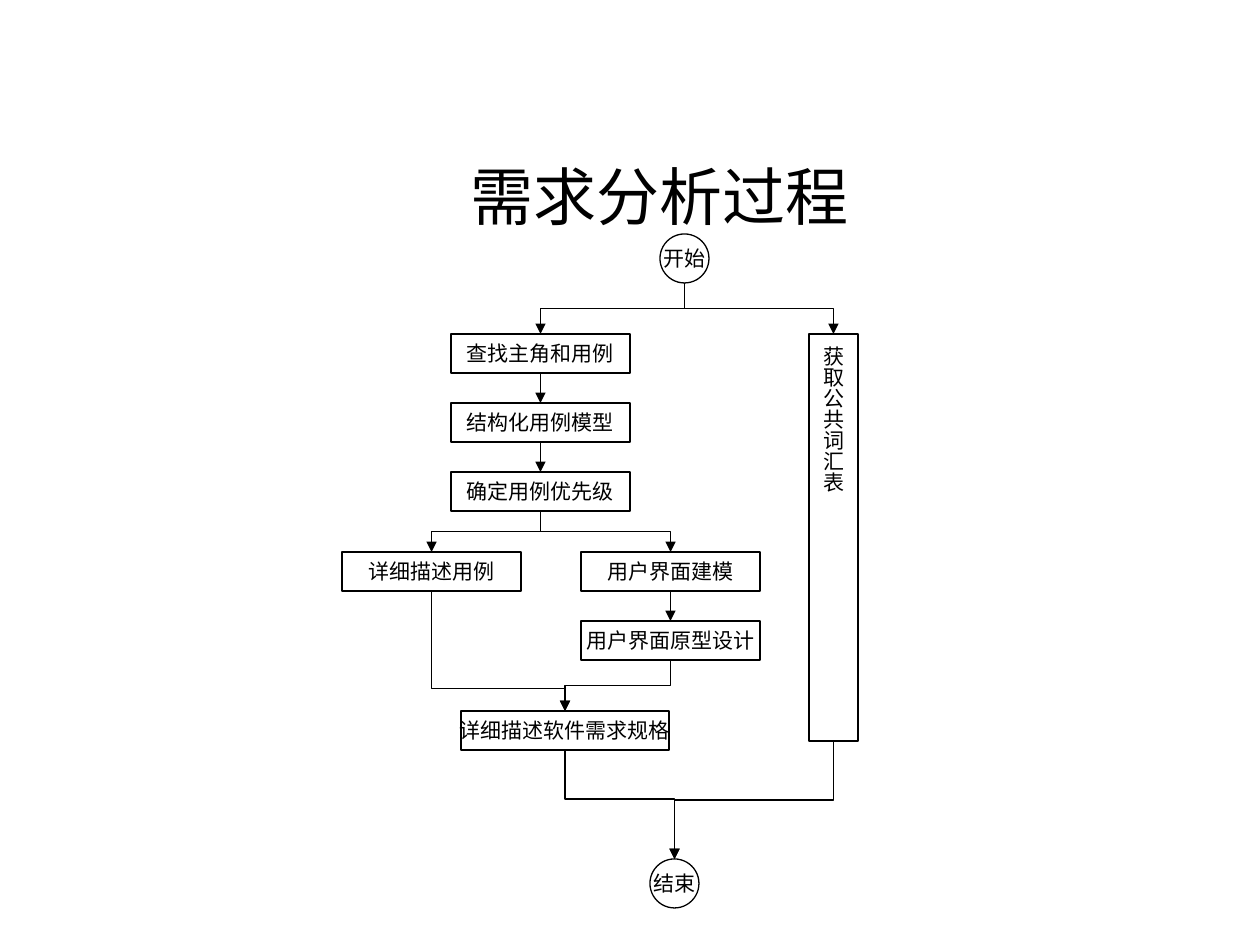
from lxml import etree
from pptx import Presentation
from pptx import util as u
from pptx.dml.color import RGBColor
from pptx.enum import shapes, text
from pptx.oxml import ns

COLORS = {"ink": "000000"}
SCALE = u.Inches(1) / 126
ROW_PITCH = 69
BOTTOM, TOP = 2, 0


def px(length):
    return u.Emu(round(length * SCALE))


class FlowSlide:
    font = "Arial"
    ink = RGBColor.from_string(COLORS["ink"])
    line_width = u.Pt(0.75)

    def __init__(self, slide):
        self.slide = slide

    def label(self, frame, words, size):
        frame.text = words
        frame.vertical_anchor = text.MSO_ANCHOR.MIDDLE
        paragraph = frame.paragraphs[0]
        paragraph.alignment = text.PP_ALIGN.CENTER
        for run in paragraph.runs:
            run.font.name = self.font
            run.font.size = u.Pt(size)
            run.font.color.rgb = self.ink

    def title(self, words, left, top, width, height):
        heading = self.slide.shapes.title
        heading.left, heading.top = px(left), px(top)
        heading.width, heading.height = px(width), px(height)
        self.label(heading.text_frame, words, 36)

    def node(self, kind, words, left, top, width, height, vertical=False):
        node = self.slide.shapes.add_shape(kind, px(left), px(top), px(width), px(height))
        node.shadow.inherit = False
        node.fill.background()
        node.line.color.rgb = self.ink
        node.line.width = self.line_width
        self.label(node.text_frame, words, 12)
        node.text_frame.word_wrap = False
        if vertical:
            node.text_frame._txBody.bodyPr.set("vert", "eaVert")
        return node

    def step(self, words, left, top, width=179):
        return self.node(shapes.MSO_SHAPE.RECTANGLE, words, left, top, width, 39)

    def terminal(self, words, left, top):
        return self.node(shapes.MSO_SHAPE.OVAL, words, left, top, 49, 49)

    def style_arrow(self, arrow):
        arrow.line.color.rgb = self.ink
        arrow.line.width = self.line_width
        outline = arrow.line._get_or_add_ln()
        etree.SubElement(outline, ns.qn("a:tailEnd"), type="triangle")
        etree.SubElement(arrow._element.spPr, ns.qn("a:effectLst"))

    def straight(self, source, target):
        arrow = self.slide.shapes.add_connector(shapes.MSO_CONNECTOR.STRAIGHT, 0, 0, 0, 0)
        arrow.begin_connect(source, BOTTOM)
        arrow.end_connect(target, TOP)
        self.style_arrow(arrow)

    def bent(self, source, target, turn=0.5):
        x1, y1 = source.left + source.width // 2, source.top + source.height
        x2, y2 = target.left + target.width // 2, target.top
        leftward = x2 < x1
        mid_x, mid_y = (x1 + x2) // 2, (y1 + y2) // 2
        half_run = (y2 - y1) // 2 * (1 if leftward else -1)
        half_span = abs(x2 - x1) // 2
        arrow = self.slide.shapes.add_connector(
            shapes.MSO_CONNECTOR.ELBOW,
            mid_x - half_run, mid_y - half_span,
            mid_x + half_run, mid_y + half_span)
        arrow._element.spPr.find(ns.qn("a:xfrm")).set("rot", str((90 if leftward else 270) * 60000))
        guides = arrow._element.spPr.find(ns.qn("a:prstGeom")).find(ns.qn("a:avLst"))
        etree.SubElement(guides, ns.qn("a:gd"), name="adj1", fmla=f"val {round(turn * 100000)}")
        self.style_arrow(arrow)


def main():
    deck = Presentation()
    deck.slide_width, deck.slide_height = px(1260), px(945)
    flow = FlowSlide(deck.slides.add_slide(deck.slide_layouts[5]))
    flow.title("需求分析过程", 92, 145, 1134, 100)

    start = flow.terminal("开始", 660, 234)
    actors, model, priority = [
        flow.step(words, 451, 334 + ROW_PITCH * row)
        for row, words in enumerate(["查找主角和用例", "结构化用例模型", "确定用例优先级"])]
    details = flow.step("详细描述用例", 342, 552)
    interface, prototype = [
        flow.step(words, 581, 552 + ROW_PITCH * row)
        for row, words in enumerate(["用户界面建模", "用户界面原型设计"])]
    specification = flow.step("详细描述软件需求规格", 461, 711, 208)
    end = flow.terminal("结束", 650, 859)
    glossary = flow.node(shapes.MSO_SHAPE.RECTANGLE, "获取公共词汇表", 809, 334, 49, 407, vertical=True)

    for source, target in [(actors, model), (model, priority), (interface, prototype)]:
        flow.straight(source, target)
    for source, target in [(start, glossary), (start, actors), (priority, details),
                           (priority, interface), (prototype, specification), (glossary, end)]:
        flow.bent(source, target)
    flow.bent(details, specification, 0.81)
    flow.bent(specification, end, 0.45)

    deck.save("out.pptx")


if __name__ == "__main__":
    main()
